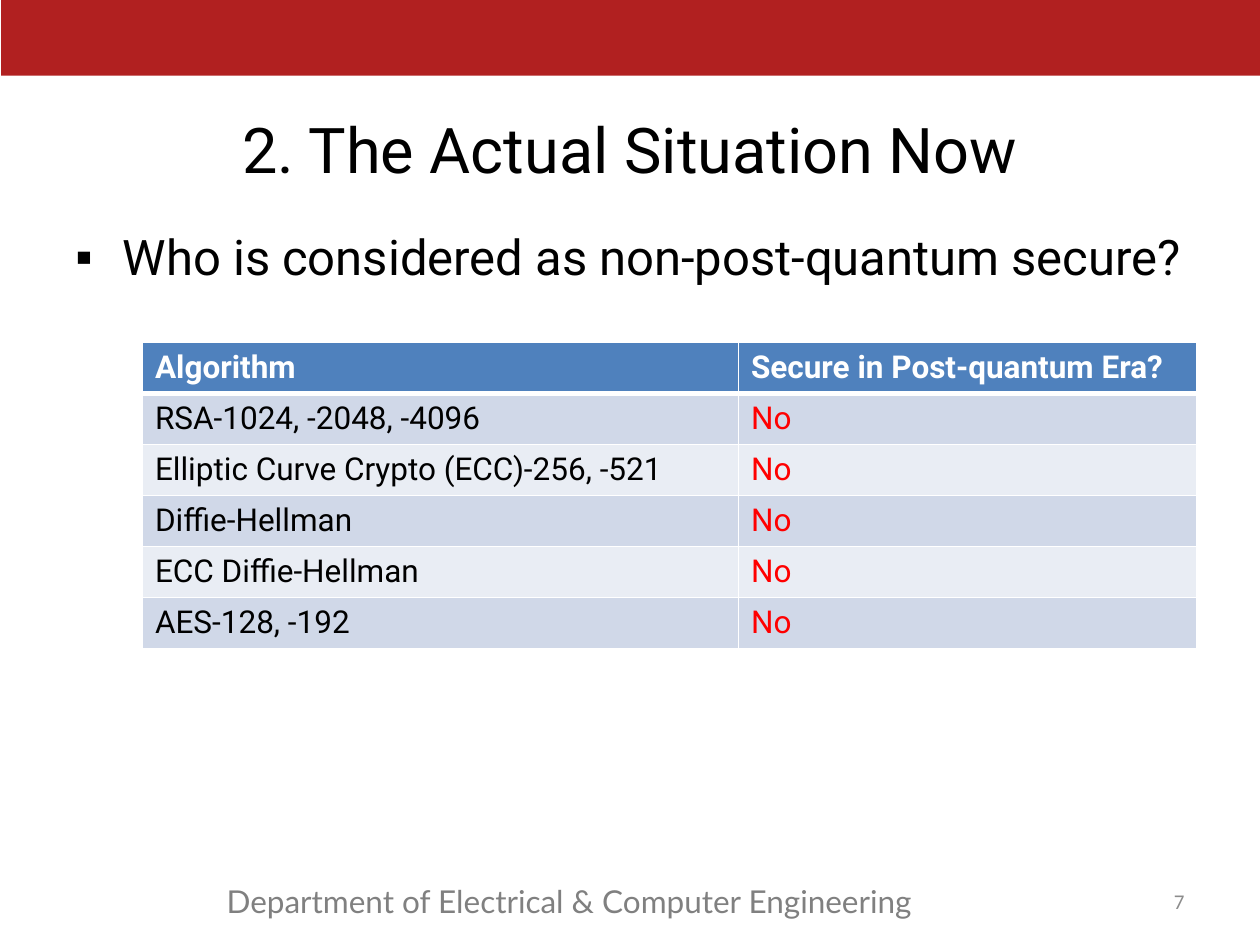
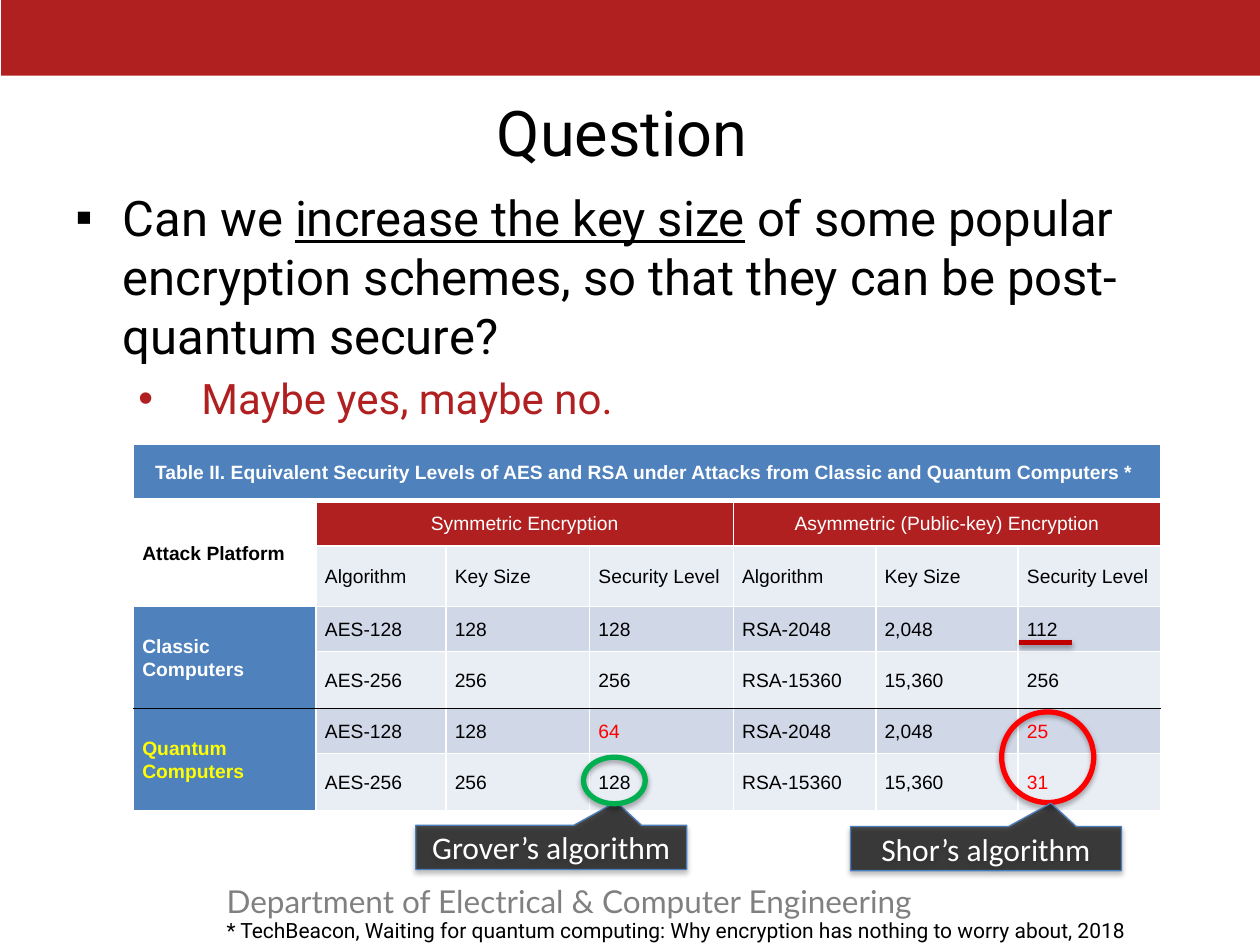
from lxml.etree import SubElement
from pptx import Presentation
from pptx.dml.color import RGBColor
from pptx.enum.shapes import MSO_CONNECTOR, MSO_SHAPE
from pptx.enum.text import MSO_ANCHOR, PP_ALIGN
from pptx.oxml.ns import qn
from pptx.util import Pt

BLACK = RGBColor(0x00, 0x00, 0x00)
WHITE = RGBColor(0xFF, 0xFF, 0xFF)
BRAND_RED = RGBColor(0xB1, 0x20, 0x20)
ALERT_RED = RGBColor(0xFF, 0x00, 0x00)
DARK_RED = RGBColor(0xC0, 0x00, 0x00)
GREEN = RGBColor(0x00, 0xB0, 0x50)
YELLOW = RGBColor(0xFF, 0xFF, 0x00)
HEADER_BLUE = RGBColor(0x4F, 0x81, 0xBD)
CALLOUT_EDGE = RGBColor(0x4B, 0x7E, 0xBC)
BANDS = (RGBColor(0xD0, 0xD8, 0xE8), RGBColor(0xE9, 0xED, 0xF4))
FOOTER_GREY = RGBColor(0x80, 0x80, 0x80)
NUMBER_GREY = RGBColor(0x8C, 0x8C, 0x8C)


def box(left, top, width, height):
    return Pt(left), Pt(top), Pt(width), Pt(height)


class Deck:
    """Holds the shared style and the slide being built."""

    font = "Roboto"

    def __init__(self):
        self.presentation = Presentation()
        self.presentation.slide_width = Pt(720)
        self.presentation.slide_height = Pt(540)
        self.slide = None

    def new_slide(self, title, title_top):
        layout = self.presentation.slide_layouts.get_by_name("Title Only")
        self.slide = self.presentation.slides.add_slide(layout)

        # Band and department line
        band = self.slide.shapes.add_shape(MSO_SHAPE.RECTANGLE, *box(0.72, 0, 719.28, 43.2))
        band.shadow.inherit = False
        band.fill.solid()
        band.fill.fore_color.rgb = BRAND_RED
        band.line.fill.background()
        self.text("Department of Electrical & Computer Engineering",
                  box(122.4, 500.4, 415.4, 28.8), 18, FOOTER_GREY, font="Lato")

        # Title
        heading = self.slide.shapes.title
        heading.left, heading.top, heading.width, heading.height = box(36, title_top, 648, 53.3)
        heading.text_frame.text = title
        heading.text_frame.vertical_anchor = MSO_ANCHOR.MIDDLE
        self.style(heading.text_frame.paragraphs[0], 36, BLACK, align=PP_ALIGN.CENTER)

    def style(self, paragraph, size, color, bold=False, font=None, align=PP_ALIGN.LEFT):
        paragraph.alignment = align
        for run in paragraph.runs:
            run.font.name = font or self.font
            run.font.size = Pt(size)
            run.font.bold = bold
            run.font.color.rgb = color

    def text(self, content, place, size, color, font=None, align=PP_ALIGN.LEFT,
             anchor=MSO_ANCHOR.TOP, wrap=True):
        frame = self.slide.shapes.add_textbox(*place).text_frame
        frame.word_wrap = wrap
        frame.vertical_anchor = anchor
        frame.text = content
        self.style(frame.paragraphs[0], size, color, font=font, align=align)

    def bullets(self, place, points):
        """Each point: symbol, indent, hanging, size, colour, [(words, underlined)]."""
        frame = self.slide.shapes.add_textbox(*place).text_frame
        frame.word_wrap = True
        for index, (symbol, indent, hanging, size, color, phrases) in enumerate(points):
            paragraph = frame.add_paragraph() if index else frame.paragraphs[0]
            if index:
                paragraph.space_before = Pt(size * 0.2)
            properties = paragraph._p.get_or_add_pPr()
            properties.set("marL", str(Pt(indent)))
            properties.set("indent", str(-Pt(hanging)))
            SubElement(properties, qn("a:buFont")).set("typeface", "Arial")
            SubElement(properties, qn("a:buChar")).set("char", symbol)
            for words, underlined in phrases:
                run = paragraph.add_run()
                run.text = words
                run.font.underline = underlined
            self.style(paragraph, size, color)

    def table(self, place, rows, widths, heights, merges=()):
        table = self.slide.shapes.add_table(len(rows), len(widths), *place).table
        table.first_row = table.horz_banding = False
        for column, width in zip(table.columns, widths):
            column.width = Pt(width)
        for row, height in zip(table.rows, heights):
            row.height = Pt(height)
        for first, last in merges:
            table.cell(*first).merge(table.cell(*last))
        for r, row in enumerate(rows):
            for c, content in enumerate(row):
                if content:
                    table.cell(r, c).text = content
        return table

    def cell(self, cell, size, color, fill, bold=False, font=None, align=PP_ALIGN.LEFT,
             anchor=MSO_ANCHOR.MIDDLE):
        cell.vertical_anchor = anchor
        if fill is None:
            cell.fill.background()
        else:
            cell.fill.solid()
            cell.fill.fore_color.rgb = fill
        self.style(cell.text_frame.paragraphs[0], size, color, bold, font, align)

    def borders(self, table, rules):
        """White grid; rules gives colour and width of the line above a row."""
        plain = (WHITE, 1)
        for r, row in enumerate(table.rows):
            for cell in row.cells:
                below = r + (cell.span_height if cell.is_merge_origin else 1)
                sides = {"a:lnL": plain, "a:lnR": plain,
                         "a:lnT": rules.get(r, plain), "a:lnB": rules.get(below, plain)}
                properties = cell._tc.get_or_add_tcPr()
                for position, (side, (color, width)) in enumerate(sides.items()):
                    line = SubElement(properties, qn(side), w=str(Pt(width)))
                    fill = SubElement(line, qn("a:solidFill"))
                    SubElement(fill, qn("a:srgbClr"), val=str(color))
                    properties.insert(position, line)

    def shadow(self, shape, opacity=35, distance=1.8):
        effects = SubElement(shape.element.spPr, qn("a:effectLst"))
        outer = SubElement(effects, qn("a:outerShdw"), blurRad=str(Pt(3.1)),
                           dist=str(Pt(distance)), dir="5400000", rotWithShape="0")
        color = SubElement(outer, qn("a:srgbClr"), val=str(BLACK))
        SubElement(color, qn("a:alpha"), val=str(opacity * 1000))

    def ring(self, place, color):
        ring = self.slide.shapes.add_shape(MSO_SHAPE.OVAL, *place)
        ring.fill.background()
        ring.line.color.rgb = color
        ring.line.width = Pt(3)
        self.shadow(ring)

    def callout(self, content, left, top):
        callout = self.slide.shapes.add_shape(
            MSO_SHAPE.RECTANGULAR_CALLOUT, *box(left, top, 154.8, 25.2))
        callout.adjustments[0], callout.adjustments[1] = 0.24, -1.03
        callout.fill.solid()
        callout.fill.fore_color.rgb = BLACK
        tint = callout.element.spPr.find(".//" + qn("a:srgbClr"))
        SubElement(tint, qn("a:alpha"), val="70000")
        callout.line.color.rgb = CALLOUT_EDGE
        callout.line.width = Pt(0.75)
        self.shadow(callout)
        callout.text_frame.text = content
        callout.text_frame.vertical_anchor = MSO_ANCHOR.MIDDLE
        self.style(callout.text_frame.paragraphs[0], 18, WHITE, font="Calibri",
                   align=PP_ALIGN.CENTER)

    def underline(self, left, right, y):
        stroke = self.slide.shapes.add_connector(
            MSO_CONNECTOR.STRAIGHT, Pt(left), Pt(y), Pt(right), Pt(y))
        stroke.line.color.rgb = DARK_RED
        stroke.line.width = Pt(2.75)
        self.shadow(stroke, 38, 1.6)


def situation_slide(deck):
    deck.new_slide("2. The Actual Situation Now", 58.3)
    deck.bullets(box(36, 126, 661.7, 356.4), [
        ("▪", 27, 27, 28, BLACK, [("Who is considered as non-post-quantum secure?", False)]),
    ])

    # Insecure algorithms
    algorithms = ["RSA-1024, -2048, -4096", "Elliptic Curve Crypto (ECC)-256, -521",
                  "Diffie-Hellman", "ECC Diffie-Hellman", "AES-128, -192"]
    rows = [("Algorithm", "Secure in Post-quantum Era?")]
    rows += [(algorithm, "No") for algorithm in algorithms]
    verdicts = deck.table(box(81.4, 195.8, 602.6, 175), rows, [340.6, 262], [29.16] * 6)
    for r, row in enumerate(verdicts.rows):
        for cell, color in zip(row.cells, (BLACK, ALERT_RED)):
            if r == 0:
                deck.cell(cell, 18, WHITE, HEADER_BLUE, bold=True)
            else:
                deck.cell(cell, 18, color, BANDS[(r - 1) % 2], anchor=MSO_ANCHOR.TOP)
    deck.borders(verdicts, {1: (WHITE, 3)})

    # Slide number
    deck.text("7", box(641.5, 500.4, 42.5, 28.8), 12, NUMBER_GREY, font="Calibri",
              align=PP_ALIGN.RIGHT, anchor=MSO_ANCHOR.MIDDLE)


def security_levels(deck):
    caption = ("Table II. Equivalent Security Levels of AES and RSA under Attacks "
               "from Classic and Quantum Computers * ")
    rows = [
        (caption,) + ("",) * 6,
        ("Attack Platform", "Symmetric Encryption", "", "",
         "Asymmetric (Public-key) Encryption", "", ""),
        ("",) + ("Algorithm", "Key Size", "Security Level") * 2,
        ("Classic Computers", "AES-128", "128", "128", "RSA-2048", "2,048", "112"),
        ("", "AES-256", "256", "256", "RSA-15360", "15,360", "256"),
        ("Quantum Computers", "AES-128", "128", "64", "RSA-2048", "2,048", "25"),
        ("", "AES-256", "256", "128", "RSA-15360", "15,360", "31"),
    ]
    merges = [((0, 0), (0, 6)), ((1, 1), (1, 3)), ((1, 4), (1, 6))]
    merges += [((r, 0), (r + 1, 0)) for r in (1, 3, 5)]
    levels = deck.table(box(76.3, 253.6, 586.8, 209.9), rows,
                        [104.4, 74.2, 82.1, 82.1, 81.4, 81.4, 81.4],
                        [32.4, 25.9, 34.6, 25.9, 32.4, 25.9, 32.4], merges)
    platform_styles = {1: (BLACK, None), 3: (WHITE, HEADER_BLUE), 5: (YELLOW, HEADER_BLUE)}
    weakened = {(5, 3), (5, 6), (6, 6)}
    for r, row in enumerate(levels.rows):
        for c, cell in enumerate(row.cells):
            align = PP_ALIGN.CENTER if r == 0 or (r == 1 and c) else PP_ALIGN.JUSTIFY
            if r == 0:
                color, fill = WHITE, HEADER_BLUE
            elif c == 0:
                color, fill = platform_styles[r - 1 + r % 2]
            elif r == 1:
                color, fill = WHITE, BRAND_RED
            else:
                color = ALERT_RED if (r, c) in weakened else BLACK
                fill = BANDS[(r + 1) % 2]
            cell.margin_left = cell.margin_right = Pt(5)
            cell.margin_top = cell.margin_bottom = Pt(0)
            cell.text_frame.paragraphs[0].line_spacing = 1.07
            deck.cell(cell, 11, color, fill, r == 0 or c == 0, "Arial", align)
    deck.borders(levels, {1: (WHITE, 3), 5: (BLACK, 1)})


def question_slide(deck):
    deck.new_slide("Question ", 48.2)
    deck.bullets(box(36, 103.7, 648, 356.4), [
        ("▪", 27, 27, 28, BLACK, [
            ("Can we ", False), ("increase the key size", True),
            (" of some popular encryption schemes, so that they can be post-quantum secure?",
             False)]),
        ("•", 72, 36, 24, BRAND_RED, [("Maybe yes, maybe no.", False)]),
    ])

    # Source note
    deck.text("* TechBeacon, Waiting for quantum computing: Why encryption has nothing "
              "to worry about, 2018", box(122.4, 520.6, 545, 21.6), 12, BLACK, wrap=False)

    security_levels(deck)

    # Marks on the table
    deck.ring(box(572.4, 406.8, 52.6, 51.8), ALERT_RED)
    deck.callout("Grover’s algorithm", 237.6, 471.6)
    deck.callout("Shor’s algorithm", 486, 472.3)
    deck.ring(box(333.4, 432.7, 35.3, 26.6), GREEN)
    deck.underline(582.5, 612.7, 367.2)


def main():
    deck = Deck()
    situation_slide(deck)
    question_slide(deck)
    deck.presentation.save("out.pptx")


if __name__ == "__main__":
    main()
